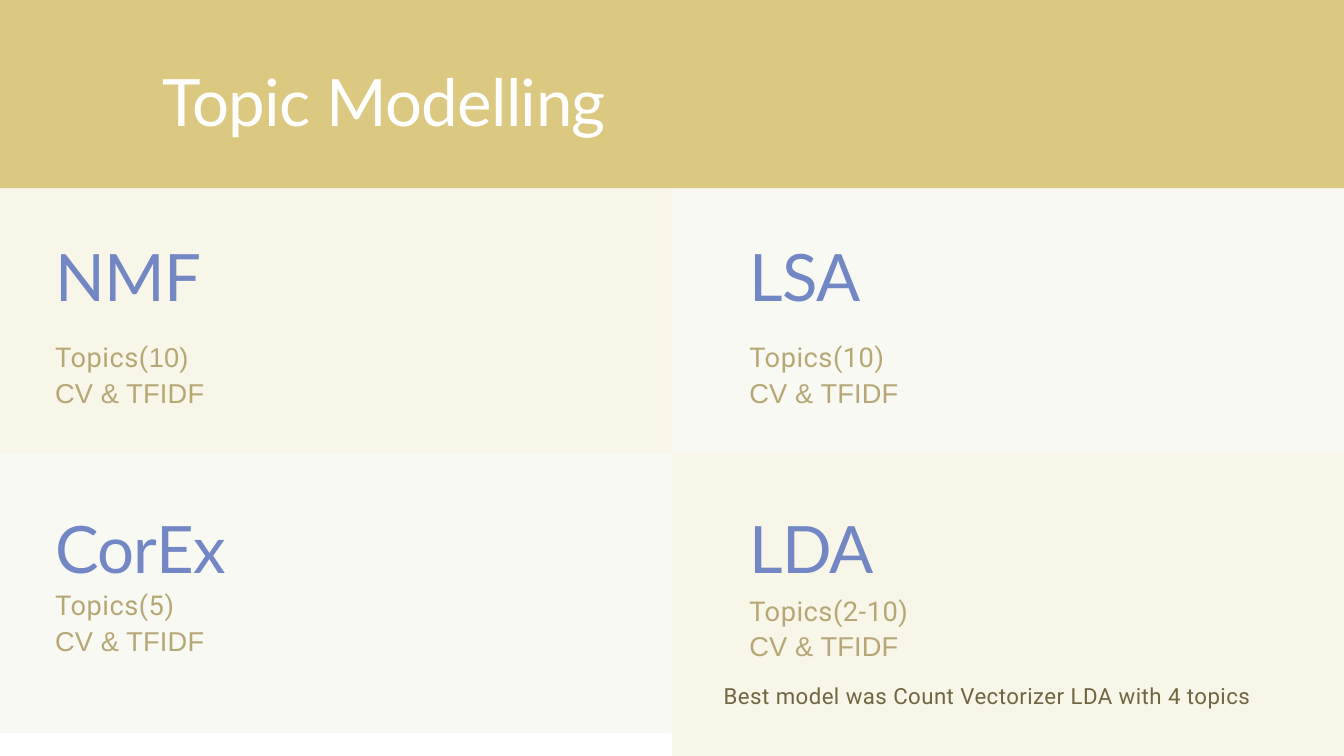
"""Build the Topic Modelling slide: a header band over a two-by-two grid of models."""
from lxml.etree import SubElement
from pptx import Presentation
from pptx.dml.color import RGBColor as RGB
from pptx.enum.shapes import MSO_SHAPE as SHAPE
from pptx.enum.text import PP_ALIGN as ALIGN
from pptx.oxml.ns import qn
from pptx.util import Inches, Pt

COLORS = {"gold": "DBC982", "sage": "DDDDC0", "blue": "7287C4",
          "tan": "B6A876", "brown": "706642", "white": "FFFFFF"}
W, H = 20, 11.25
COL = W / 2
HEADER, MIDDLE = 2.8, 6.74
LEFT, RIGHT = 0.82, 11.15

prs = Presentation()
prs.slide_width, prs.slide_height = Inches(W), Inches(H)
s = prs.slides.add_slide(prs.slide_layouts[6])


def add_panel(x, y, w, h, color, alpha=None):
    sp = s.shapes.add_shape(SHAPE.RECTANGLE, *map(Inches, (x, y, w, h)))
    sp.shadow.inherit = False
    sp.line.fill.background()
    sp.fill.solid()
    sp.fill.fore_color.rgb = RGB.from_string(COLORS[color])
    if alpha:
        clr = sp._element.spPr.find(qn("a:solidFill"))[0]
        SubElement(clr, qn("a:alpha")).set("val", str(alpha * 1000))


def add_text(lines, x, y, w, h, size=70, color="blue", leading=84, align=ALIGN.LEFT):
    tf = s.shapes.add_textbox(*map(Inches, (x, y, w, h))).text_frame
    tf.word_wrap = True
    tf.margin_left = tf.margin_right = tf.margin_top = tf.margin_bottom = 0
    for i, runs in enumerate(lines):
        p = tf.add_paragraph() if i else tf.paragraphs[0]
        p.alignment = align
        p.line_spacing = Pt(leading)
        for text, font, spacing in runs:
            r = p.add_run()
            r.text = text
            r.font.name = font
            r.font.size = Pt(size)
            r.font.color.rgb = RGB.from_string(COLORS[color])
            r.font._element.set("spc", str(round(spacing * 100)))


for x, y, h, color in [
    (COL, MIDDLE, H - MIDDLE, "gold"),
    (COL, HEADER, MIDDLE - HEADER, "sage"),
    (0, HEADER, MIDDLE - HEADER, "gold"),
    (0, MIDDLE, 4.17, "sage"),
]:
    add_panel(x, y, COL, h, color, alpha=17)
add_panel(0, 0, W, HEADER, "gold")

vectors = [("CV & TFIDF", "Arial", 0.2)]
for name, x, y, topics_y, topics in [
    ("NMF", LEFT, 3.51, 5.03, [("Topics(", "Roboto", 0.6), ("10)", "Arial", 0.2)]),
    ("LSA", RIGHT, 3.51, 5.03, [("Topics(10)", "Roboto", 0.6)]),
    ("CorEx", LEFT, 7.56, 8.72, [("Topics(5)", "Roboto", 0.6)]),
    ("LDA", RIGHT, 7.56, 8.8, [("Topics(2-10)", "Roboto", 0.6)]),
]:
    add_text([topics, vectors], x, topics_y, 7.1, 1.05, size=29.2, color="tan", leading=37.9)
    add_text([[(name, "Lato", -0.7)]], x, y, 7.1, 1.15)

add_text([[("Topic Modelling", "Lato", -0.7)]], 2.42, 0.91, 10.31, 1.17, color="white")
add_text([[("Best model was Count Vectorizer LDA with 4 topics", "Roboto", 0.5)]],
         10.73, 10.12, 7.92, 0.43, size=23.8, color="brown", leading=31, align=ALIGN.CENTER)

prs.save("out.pptx")
